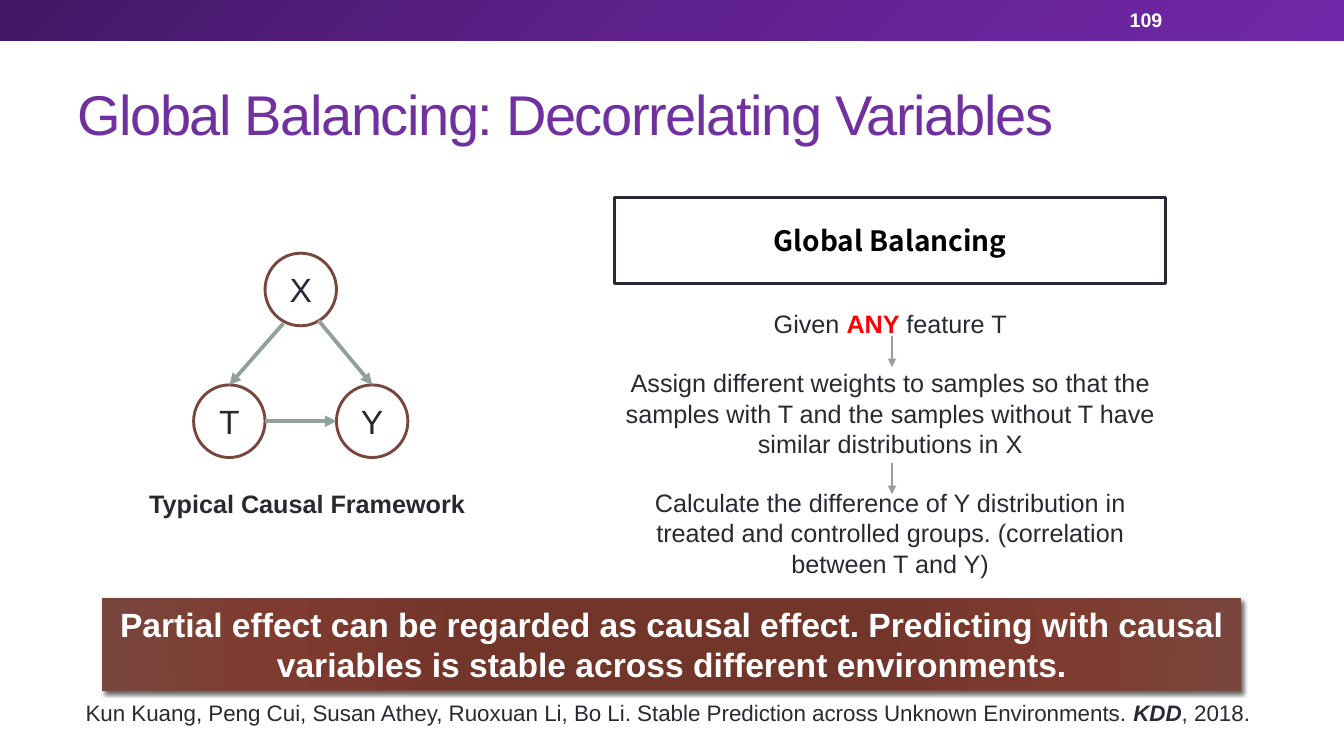
from dataclasses import dataclass

import pptx
import pptx.dml.color
import pptx.enum.shapes
import pptx.enum.text
import pptx.oxml
import pptx.oxml.ns
import pptx.util
from pptx.util import Cm, Pt

ALIGN = pptx.enum.text.PP_ALIGN
ANCHOR = pptx.enum.text.MSO_ANCHOR
SHAPE = pptx.enum.shapes.MSO_SHAPE
INK, WHITE, PURPLE, RED = "292934", "FFFFFF", "7030A0", "FF0000"
BROWN, SAGE = "79463D", "93A299"


@dataclass
class Box:
    """Left, top, width and height in centimetres."""
    left: float
    top: float
    width: float
    height: float

    def lengths(self) -> tuple:
        return Cm(self.left), Cm(self.top), Cm(self.width), Cm(self.height)


@dataclass
class Words:
    """A stretch of text with one character format."""
    text: str
    color: str = INK
    bold: bool = False
    italic: bool = False


@dataclass
class Node:
    label: str
    left: float
    top: float


@dataclass
class Arrow:
    start: tuple[float, float]
    end: tuple[float, float]
    weight: float


def rgb(color: str) -> pptx.dml.color.RGBColor:
    return pptx.dml.color.RGBColor.from_string(color)


def add_xml(parent, xml: str, position: int | None = None) -> None:
    """Insert a DrawingML element into parent, at the end by default."""
    tag_end = min(xml.index(mark) for mark in " />" if mark in xml)
    declared = f"{xml[:tag_end]} {pptx.oxml.ns.nsdecls('a')}{xml[tag_end:]}"
    element = pptx.oxml.parse_xml(declared)
    parent.insert(len(parent) if position is None else position, element)


def write(frame, paragraphs: list[list[Words]], size: float, align=ALIGN.CENTER,
          anchor=ANCHOR.TOP, font: str = "Arial", gap: float = 0) -> None:
    """Fill a text frame; gap is the space between paragraphs in points."""
    frame.word_wrap = True
    frame.vertical_anchor = anchor
    for index, stretches in enumerate(paragraphs):
        paragraph = frame.add_paragraph() if index else frame.paragraphs[0]
        paragraph.alignment = align
        if index and gap:
            paragraph.space_before = Pt(gap)
        for words in stretches:
            run = paragraph.add_run()
            run.text = words.text
            run.font.name = font
            run.font.size = Pt(size)
            run.font.bold = words.bold
            run.font.italic = words.italic
            run.font.color.rgb = rgb(words.color)


def add_panel(slide, kind, box: Box, line: str | None = None, weight: float = 2.08):
    """Add a white shape without shadow, outlined if a line colour is given."""
    panel = slide.shapes.add_shape(kind, *box.lengths())
    panel.shadow.inherit = False
    panel.fill.solid()
    panel.fill.fore_color.rgb = rgb(WHITE)
    if line:
        panel.line.color.rgb = rgb(line)
        panel.line.width = Pt(weight)
    else:
        panel.line.fill.background()
    return panel


def set_gradient(panel, stops: list[tuple[int, str]], direction: str) -> None:
    properties = panel._element.spPr
    solid = properties.find(pptx.oxml.ns.qn("a:solidFill"))
    position = properties.index(solid)
    properties.remove(solid)
    marks = "".join(f'<a:gs pos="{place * 1000}"><a:srgbClr val="{color}"/></a:gs>'
                    for place, color in stops)
    add_xml(properties, f'<a:gradFill rotWithShape="1"><a:gsLst>{marks}</a:gsLst>'
                        f"{direction}</a:gradFill>", position)


def add_text(slide, box: Box, paragraphs: list[list[Words]], size: float, **layout) -> None:
    frame = slide.shapes.add_textbox(*box.lengths()).text_frame
    write(frame, paragraphs, size, **layout)


def add_arrow(slide, arrow: Arrow) -> None:
    ends = [Cm(value) for value in arrow.start + arrow.end]
    connector = slide.shapes.add_connector(
        pptx.enum.shapes.MSO_CONNECTOR.STRAIGHT, *ends)
    connector.line.color.rgb = rgb(SAGE)
    connector.line.width = Pt(arrow.weight)
    add_xml(connector.line._get_or_add_ln(), '<a:tailEnd type="triangle"/>')
    add_xml(connector._element.spPr, "<a:effectLst/>")


def add_header(slide) -> None:
    bar = add_panel(slide, SHAPE.RECTANGLE, Box(0, 0, 33.87, 1.02))
    set_gradient(bar, [(0, "431764"), (50, "5F218E"), (100, "7128A8")],
                 '<a:lin ang="2700000" scaled="1"/>')
    add_text(slide, Box(28.22, 0.05, 3.96, 0.91), [[Words("109", WHITE, True)]], 14,
             align=ALIGN.LEFT, anchor=ANCHOR.MIDDLE)

    title = slide.shapes.title
    title.left, title.top, title.width, title.height = Box(1.69, 1.47, 30.48, 2.74).lengths()
    write(title.text_frame, [[Words("Global Balancing: Decorrelating Variables", PURPLE)]],
          40, align=ALIGN.LEFT, anchor=ANCHOR.MIDDLE)
    title.text_frame.auto_size = pptx.enum.text.MSO_AUTO_SIZE.NONE
    title.text_frame.paragraphs[0].runs[0].font._element.set("spc", "-100")


def add_causal_graph(slide) -> None:
    width, height = 1.8, 1.83
    cause = Node("X", 6.68, 6.38)
    treatment = Node("T", cause.left - width, 9.7)
    outcome = Node("Y", cause.left + width, 9.7)
    for node in (cause, treatment, outcome):
        circle = add_panel(slide, SHAPE.OVAL, Box(node.left, node.top, width, height), BROWN)
        write(circle.text_frame, [[Words(node.label)]], 24, anchor=ANCHOR.MIDDLE)

    middle = treatment.top + height / 2
    for arrow in (
        Arrow((treatment.left + width, middle), (outcome.left, middle), 2.75),
        Arrow((8.03, 8.08), (outcome.left + width / 2, outcome.top), 2.75),
        Arrow((7.14, 8.15), (treatment.left + width / 2, treatment.top), 2.75),
    ):
        add_arrow(slide, arrow)
    add_text(slide, Box(3.51, 12.17, 8.74, 1.02),
             [[Words("Typical Causal Framework", bold=True)]], 18, align=ALIGN.LEFT)


def add_conclusion(slide) -> None:
    banner = add_panel(slide, SHAPE.RECTANGLE, Box(2.59, 15.09, 28.68, 2.31), BROWN, 0.75)
    set_gradient(banner, [(0, "743327"), (34, "72352A"), (70, "7F3B2F"), (100, BROWN)],
                 '<a:path path="circle"><a:fillToRect l="100000" t="100000" '
                 'r="100000" b="100000"/></a:path>')
    effects = banner._element.spPr.find(pptx.oxml.ns.qn("a:effectLst"))
    add_xml(effects, '<a:outerShdw blurRad="38100" dist="25400" dir="2700000" '
                     'rotWithShape="0"><a:srgbClr val="000000"><a:alpha val="60000"/>'
                     "</a:srgbClr></a:outerShdw>")
    write(banner.text_frame, [[Words(
        "Partial effect can be regarded as causal effect. Predicting with causal "
        "variables is stable across different environments.", WHITE, True)]], 24)


def add_balancing_steps(slide) -> None:
    heading = add_panel(slide, SHAPE.RECTANGLE, Box(15.49, 4.98, 13.89, 2.16), INK)
    write(heading.text_frame, [[Words("Global Balancing", "000000", True)]], 20,
          anchor=ANCHOR.MIDDLE, font="Noto Sans CJK SC")
    add_text(slide, Box(15.49, 7.65, 13.89, 7.19), [
        [Words("Given "), Words("ANY ", RED, True), Words("feature T")],
        [Words("Assign different weights to samples so that the samples with T and "
               "the samples without T have similar distributions in X")],
        [Words("Calculate the difference of Y distribution in treated and controlled "
               "groups. (correlation between T and Y)")],
    ], 18, gap=20.7)
    for top in (8.46, 11.66):
        add_arrow(slide, Arrow((22.48, top), (22.48, top + 0.79), 2))


def main() -> None:
    deck = pptx.Presentation()
    deck.slide_width, deck.slide_height = Cm(33.87), Cm(19.05)
    slide = deck.slides.add_slide(deck.slide_layouts.get_by_name("Title Only"))
    add_header(slide)
    add_causal_graph(slide)
    add_conclusion(slide)
    add_balancing_steps(slide)
    add_text(slide, Box(0, 17.5, 33.66, 0.94), [[
        Words("Kun Kuang, Peng Cui, Susan Athey, Ruoxuan Li, Bo Li. "
              "Stable Prediction across Unknown Environments. "),
        Words("KDD", bold=True, italic=True), Words(", 2018."),
    ]], 16)
    deck.save("out.pptx")


if __name__ == "__main__":
    main()
